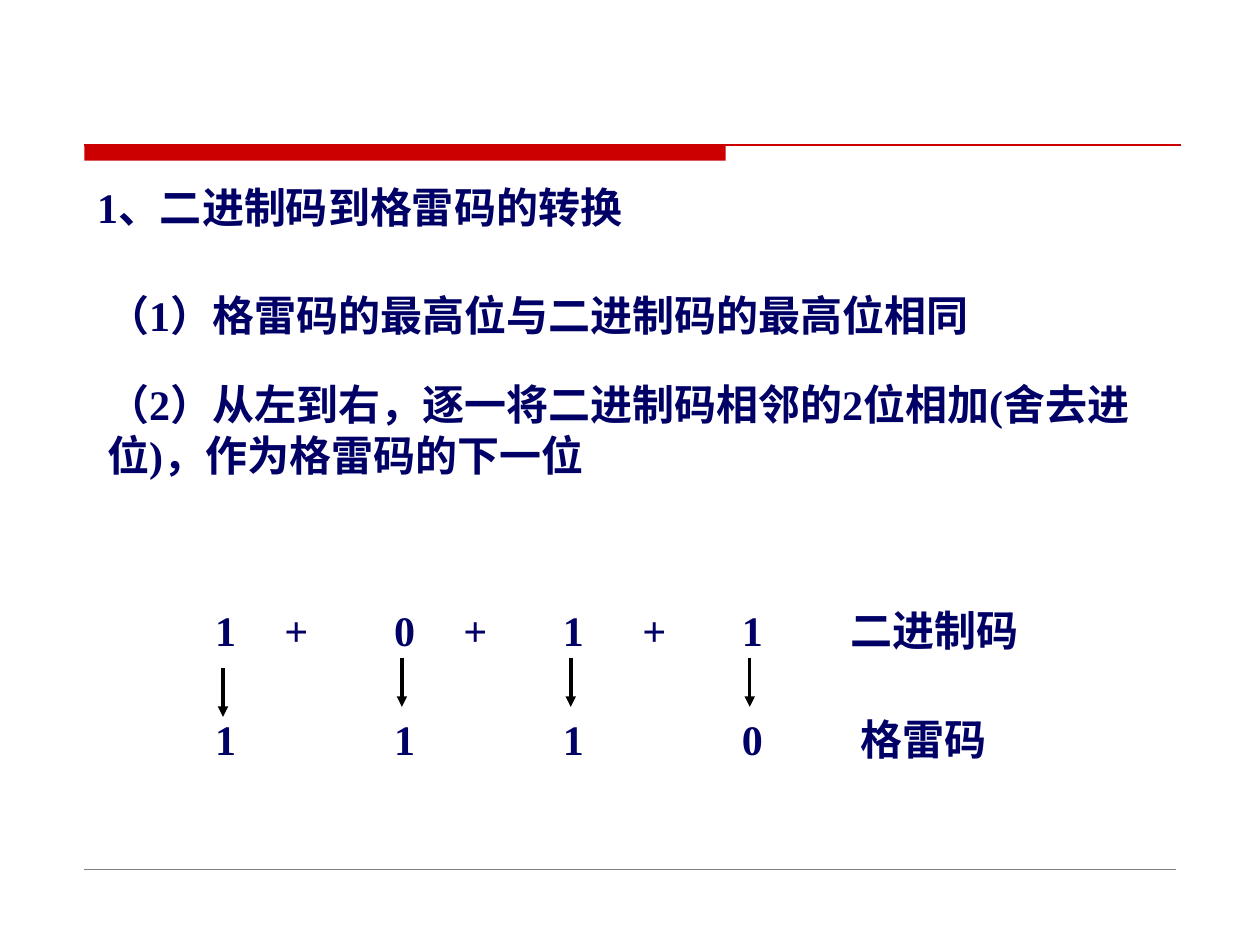
import pptx
import pptx.util
import pptx.dml.color
import pptx.enum.shapes
import pptx.enum.text
import pptx.oxml.ns
import lxml.etree

NAVY = pptx.dml.color.RGBColor(0x00, 0x00, 0x66)
RED = pptx.dml.color.RGBColor(0xCC, 0x00, 0x00)
GREY = pptx.dml.color.RGBColor(0x80, 0x80, 0x80)
BLACK = pptx.dml.color.RGBColor(0x00, 0x00, 0x00)
FONT = "Times New Roman"

# The slide is a grid of 100 columns by 75 rows of square cells
COLUMNS, ROWS = 100, 75
CELL = pptx.util.Inches(0.1)
TEXT_ROWS = 5


def cells(*counts):
    return [round(count * CELL) for count in counts]


def write(shape, *lines, size=24, color=NAVY, bold=True, gap=0):
    """Fill a shape with unbulleted left-aligned paragraphs."""
    frame = shape.text_frame
    frame.word_wrap = True
    frame.auto_size = pptx.enum.text.MSO_AUTO_SIZE.NONE
    frame.vertical_anchor = pptx.enum.text.MSO_ANCHOR.TOP
    for index, line in enumerate(lines):
        paragraph = frame.add_paragraph() if index else frame.paragraphs[0]
        paragraph.text = line
        paragraph.alignment = pptx.enum.text.PP_ALIGN.LEFT
        paragraph.space_before = pptx.util.Pt(gap if index else 0)
        properties = paragraph._p.get_or_add_pPr()
        properties.set("marL", "0")
        properties.set("indent", "0")
        lxml.etree.SubElement(properties, pptx.oxml.ns.qn("a:buNone"))
        font = paragraph.runs[0].font
        font.name, font.size, font.bold = FONT, pptx.util.Pt(size), bold
        font.color.rgb = color


def place(shape, left, top, width, height):
    shape.left, shape.top, shape.width, shape.height = cells(left, top, width, height)


def add_label(slide, text, left, top, width):
    write(slide.shapes.add_textbox(*cells(left, top, width, TEXT_ROWS)), text)


def add_line(slide, start, end, color, weight, arrow=False):
    line = slide.shapes.add_connector(
        pptx.enum.shapes.MSO_CONNECTOR.STRAIGHT, *cells(*start, *end))
    line.line.color.rgb = color
    line.line.width = pptx.util.Pt(weight)
    if arrow:
        lxml.etree.SubElement(line.line._get_or_add_ln(),
                              pptx.oxml.ns.qn("a:tailEnd"), type="triangle")
    lxml.etree.SubElement(line._element.spPr, pptx.oxml.ns.qn("a:effectLst"))


def add_rules(slide, left, top, width, bottom):
    """Red bar and line above the content, thin line below it."""
    bar = slide.shapes.add_shape(pptx.enum.shapes.MSO_SHAPE.RECTANGLE,
                                 *cells(left, top, width * 0.585, 1.25))
    bar.shadow.inherit = False
    bar.fill.solid()
    bar.fill.fore_color.rgb = RED
    bar.line.fill.background()
    add_line(slide, (left, top), (left + width, top), RED, 0.75)
    add_line(slide, (left, bottom), (COLUMNS - left, bottom), GREY, 0.25)


def add_statement(slide, left, top, width):
    """Heading and the two conversion rules."""
    heading, steps = slide.placeholders
    place(heading, left, top, width, TEXT_ROWS)
    write(heading, "1、二进制码到格雷码的转换")
    place(steps, left + 0.8, top + 8.6, width, 16)
    write(steps, "（1）格雷码的最高位与二进制码的最高位相同",
          "（2）从左到右，逐一将二进制码相邻的2位相加(舍去进位)，作为格雷码的下一位",
          gap=22)


def add_conversion(slide, left, top):
    """Binary digits, the arrows and the Gray digits below them."""
    digit_columns = [0, 14.2, 27.6, 41.8]
    gray_top = top + 8.6
    for index, (column, binary, gray) in enumerate(zip(digit_columns, "1011", "1110")):
        x = left + column
        add_label(slide, binary, x, top, 4.7)
        add_label(slide, gray, x, gray_top, 4.7)
        # The first arrow only copies its digit and sits a little lower
        tip = gray_top if index else gray_top + 0.8
        add_line(slide, (x + 1.6, tip - 3.9), (x + 1.6, tip), BLACK, 2, arrow=True)
    for index in range(3):
        add_label(slide, "+", left + 5.5 + 14.2 * index, top, 4.7)
    add_label(slide, "二进制码", left + 50.4, top, 18.9)
    add_label(slide, "格雷码", left + 51.2, gray_top, 15)


def main():
    deck = pptx.Presentation()
    deck.slide_width, deck.slide_height = cells(COLUMNS, ROWS)
    slide = deck.slides.add_slide(deck.slide_layouts[1])
    add_rules(slide, left=6.7, top=11.5, width=87, bottom=69)
    add_statement(slide, left=6.7, top=13.9, width=89)
    add_conversion(slide, left=16.1, top=47.5)
    deck.save("out.pptx")


if __name__ == "__main__":
    main()
